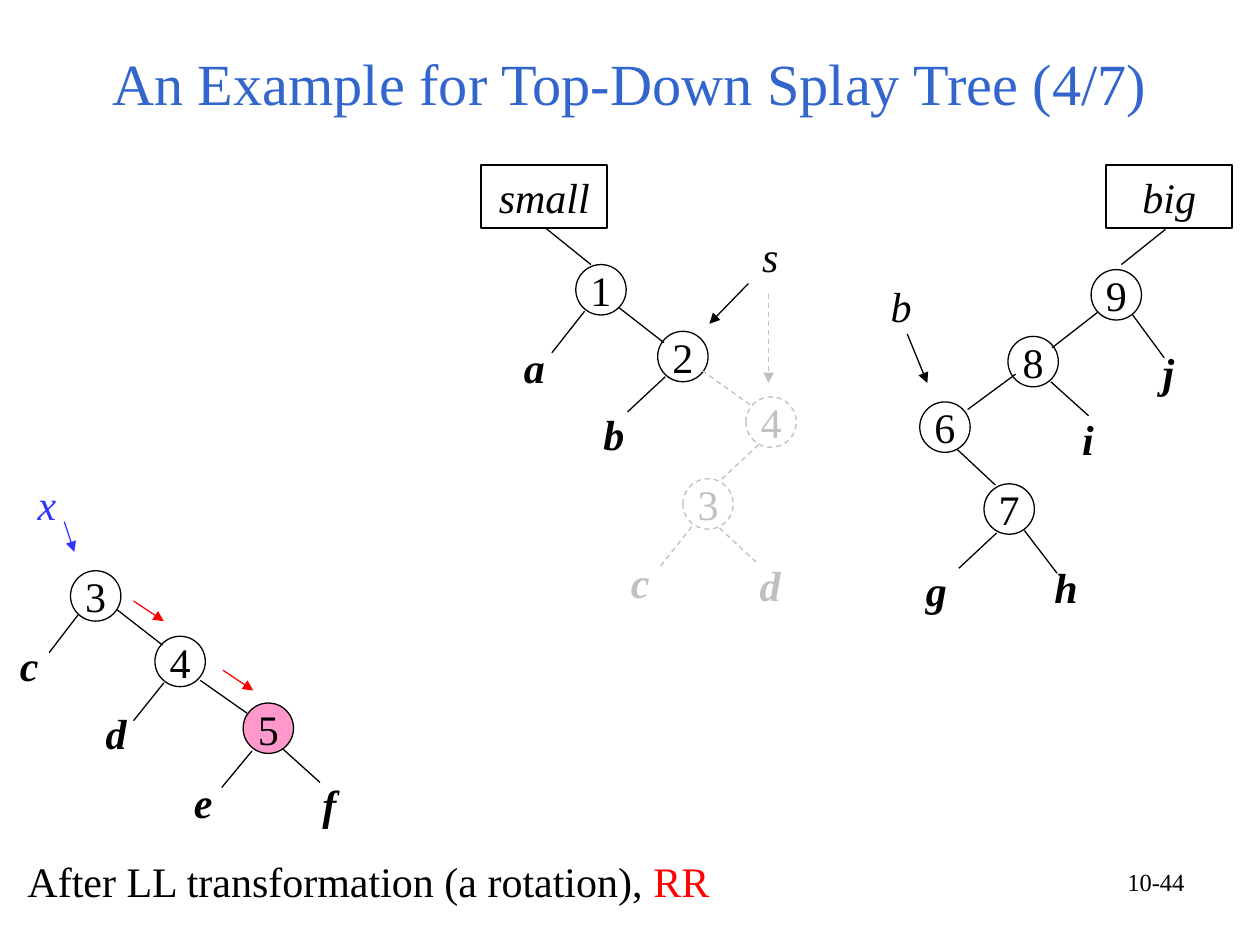
"""Build the top-down splay tree slide, step four of seven."""
from dataclasses import dataclass
from lxml.etree import SubElement
from pptx import Presentation
from pptx.dml.color import RGBColor
from pptx.enum.dml import MSO_LINE as Dash
from pptx.enum.shapes import MSO_CONNECTOR as Conn, MSO_SHAPE as Shape
from pptx.enum.text import MSO_ANCHOR as Anchor, PP_ALIGN as Align
from pptx.oxml.ns import qn
from pptx.util import Inches, Pt


@dataclass(frozen=True)
class Theme:
    font: str = "Times New Roman"
    ink: str = "000000"
    paper: str = "FFFFFF"
    title: str = "3366CC"
    blue: str = "3333FF"
    red: str = "FF0000"
    ghost: str = "C0C0C0"
    pink: str = "FF99CC"
    head: float = 33.3
    body: float = 24
    small: float = 14
    thin: float = 0.75
    thick: float = 1


T = Theme()
DISC = 0.4
LEAF = (0.44, 0.5)
BOX = (1, 0.5)

TITLE = "An Example for Top-Down Splay Tree (4/7)"
NOTE = [("After LL transformation (a rotation), ", T.ink), ("RR", T.red)]
PAGE = "10-44"
ROOTS = [("big", 8.78, 1.31, T.paper), ("small", 3.82, 1.31, None)]

MAIN = {
    "nodes": [("3", 0.56, 4.53), ("4", 1.23, 5.05), ("5", 1.93, 5.58)],
    "edges": [(0.93, 4.84, 1.29, 5.12), (1.59, 5.4, 1.96, 5.66),
              (2.24, 5.94, 2.54, 6.21), (2, 5.96, 1.76, 6.25),
              (1.3, 5.42, 1.06, 5.72), (0.62, 4.88, 0.39, 5.18)],
    "leaves": [("f", 2.46, 6.13), ("e", 1.44, 6.11),
               ("d", 0.74, 5.57), ("c", 0.06, 5.03)],
}
SMALL = {
    "nodes": [("1", 4.57, 2.1), ("2", 5.22, 2.63)],
    "edges": [(4.33, 1.81, 4.69, 2.1), (4.91, 2.44, 5.27, 2.72),
              (5.28, 2.99, 4.98, 3.27), (4.64, 2.47, 4.38, 2.8)],
    "leaves": [("b", 4.69, 3.19), ("a", 4.06, 2.66)],
}
BIG = {
    "nodes": [("9", 8.66, 2.14), ("8", 8, 2.67),
              ("6", 7.3, 3.19), ("7", 7.81, 3.84)],
    "edges": [(9.25, 1.82, 8.9, 2.1), (8.71, 2.48, 8.35, 2.76),
              (8.06, 2.97, 7.68, 3.25), (8.34, 3.03, 8.64, 3.3),
              (7.6, 3.57, 7.9, 3.85), (7.91, 4.23, 7.61, 4.51),
              (8.13, 4.21, 8.39, 4.55), (8.99, 2.5, 9.24, 2.84)],
    "leaves": [("i", 8.49, 3.23), ("g", 7.25, 4.43),
               ("h", 8.27, 4.41), ("j", 9.13, 2.7)],
}
GHOST = {
    "nodes": [("4", 5.92, 3.15), ("3", 5.42, 3.8)],
    "edges": [(5.57, 2.94, 5.95, 3.21), (6.02, 3.53, 5.72, 3.81),
              (5.71, 4.19, 6.01, 4.47), (5.49, 4.18, 5.23, 4.51)],
    "leaves": [("d", 5.93, 4.39), ("c", 4.91, 4.37)],
}
NAMES = [("b", 6.97, 2.18, 0.39, T.ink), ("x", 0.2, 3.75, 0.39, T.blue),
         ("s", 5.95, 1.78, 0.31, T.ink)]
ARROWS = [((7.2, 2.65, 7.36, 3.04), T.ink), ((0.51, 4.14, 0.59, 4.38), T.blue),
          ((1.06, 4.77, 1.3, 4.93), T.red), ((1.77, 5.32, 2.01, 5.48), T.red),
          ((5.94, 2.25, 5.63, 2.57), T.ink)]
FADED = (6.1, 2.33, 6.1, 3.04)


def inch(spot):
    return [Inches(v) for v in spot]


def write(frame, parts, size=T.body, align=Align.LEFT, bold=False, slant=False):
    line = frame.paragraphs[0]
    line.alignment = align
    for words, tint in parts:
        run = line.add_run()
        run.text = words
        font = run.font
        font.name, font.size = T.font, Pt(size)
        font.bold, font.italic = bold, slant
        font.color.rgb = RGBColor.from_string(tint)


def stroke(line, tint, width=T.thin):
    line.color.rgb = RGBColor.from_string(tint)
    line.width = Pt(width)
    if tint == T.ghost:
        line.dash_style = Dash.DASH


def label(into, parts, spot, **look):
    frame = into.add_textbox(*inch(spot)).text_frame
    frame.word_wrap = True
    write(frame, parts, **look)


def solid(into, kind, words, spot, tint, fill=None, width=T.thin, slant=False):
    shape = into.add_shape(kind, *inch(spot))
    shape.shadow.inherit = False
    if fill:
        shape.fill.solid()
        shape.fill.fore_color.rgb = RGBColor.from_string(fill)
    else:
        shape.fill.background()
    stroke(shape.line, tint, width)
    frame = shape.text_frame
    frame.word_wrap = False
    frame.vertical_anchor = Anchor.MIDDLE
    write(frame, [(words, tint)], align=Align.CENTER, slant=slant)


def link(into, ends, tint, arrow=False):
    line = into.add_connector(Conn.STRAIGHT, *inch(ends))
    stroke(line.line, tint)
    if arrow:
        SubElement(line.line._get_or_add_ln(), qn("a:tailEnd"), type="triangle")
    SubElement(line._element.spPr, qn("a:effectLst"))


def grow(into, tree, tint=T.ink):
    for key, x, y in tree["nodes"]:
        fill = T.pink if key == "5" else None
        solid(into, Shape.OVAL, key, (x, y, DISC, DISC), tint, fill)
    for ends in tree["edges"]:
        link(into, ends, tint)
    for key, x, y in tree["leaves"]:
        label(into, [(key, tint)], (x, y, *LEAF), bold=True, slant=True)


deck = Presentation()
deck.slide_width, deck.slide_height = Inches(10), Inches(7.5)
slide = deck.slides.add_slide(deck.slide_layouts[5])
parts = slide.shapes

title = parts.title
title.left, title.top, title.width, title.height = inch((0.5, 0.3, 9, 0.77))
title.text_frame.vertical_anchor = Anchor.MIDDLE
title.text_frame.paragraphs[0].line_spacing = 0.9
write(title.text_frame, [(TITLE, T.title)], size=T.head, align=Align.CENTER)

for name, x, y, fill in ROOTS:
    solid(parts, Shape.RECTANGLE, name, (x, y, *BOX), T.ink, fill, T.thick, True)
for tree in (MAIN, SMALL, BIG):
    grow(parts, tree)
for name, x, y, wide, tint in NAMES:
    label(parts, [(name, tint)], (x, y, wide, 0.5), slant=True)
for ends, tint in ARROWS:
    link(parts, ends, tint, arrow=True)

faded = parts.add_group_shape().shapes
grow(faded, GHOST, T.ghost)
link(faded, FADED, T.ghost, arrow=True)

label(parts, NOTE, (0.12, 6.74, 6.14, 0.5))
label(parts, [(PAGE, T.ink)], (7.17, 6.83, 2.33, 0.52), size=T.small, align=Align.RIGHT)
deck.save("out.pptx")
